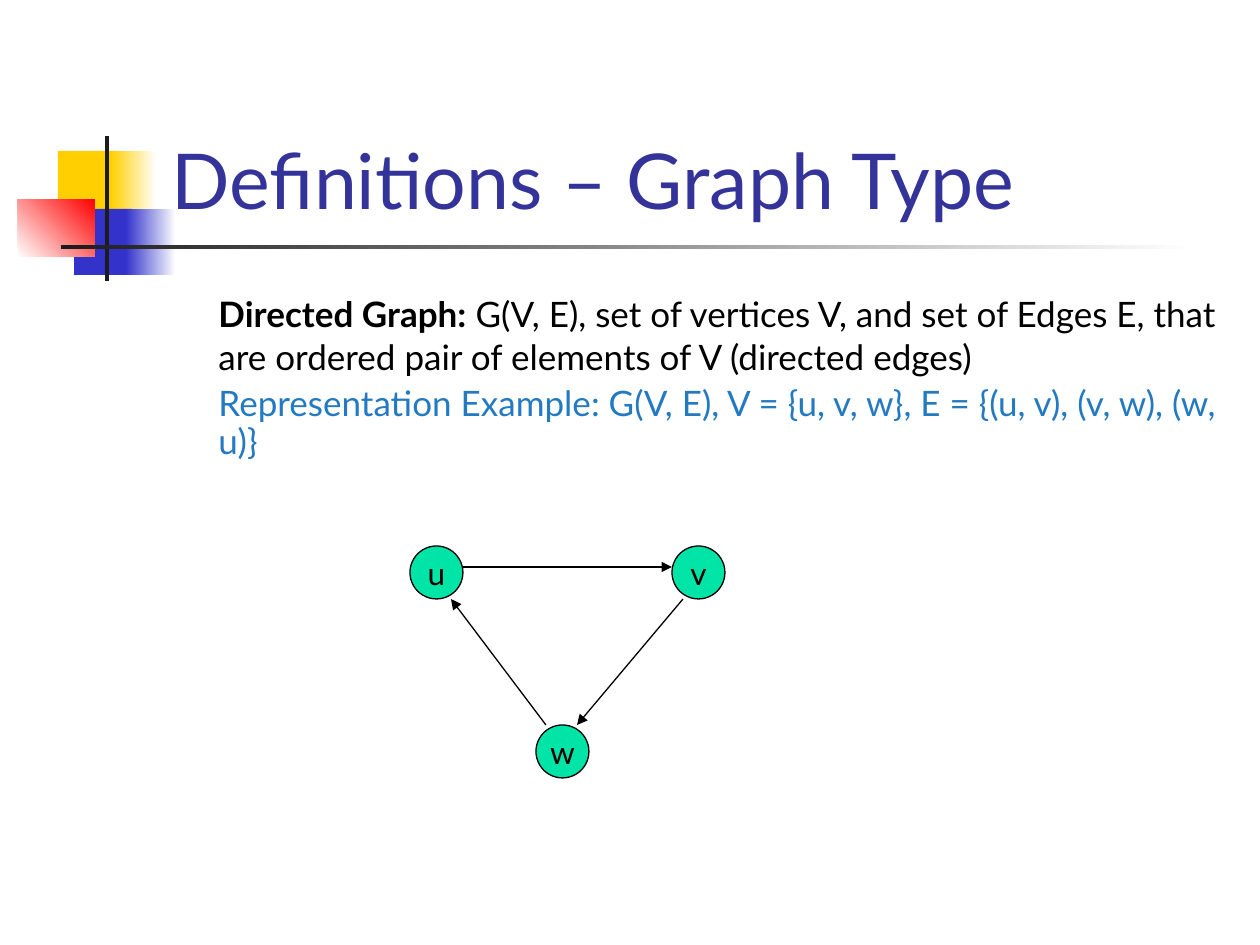
"""Build a slide that defines a directed graph, with a three-vertex example."""
from pptx import Presentation
from pptx.dml.color import RGBColor
from pptx.enum.shapes import MSO_CONNECTOR, MSO_SHAPE
from pptx.enum.text import MSO_ANCHOR as ANCHOR, MSO_AUTO_SIZE as AUTO, PP_ALIGN as ALIGN
from pptx.oxml.ns import qn
from pptx.util import Inches, Pt
from lxml.etree import SubElement

PX = Inches(1) / 126
FONT = "Lato"
BLACK = RGBColor(0x00, 0x00, 0x00)
WHITE = RGBColor(0xFF, 0xFF, 0xFF)
YELLOW = RGBColor(0xFF, 0xCF, 0x01)
BLUE = RGBColor(0x33, 0x33, 0xCC)
RED = RGBColor(0xFF, 0x00, 0x00)
DARK = RGBColor(0x1C, 0x1C, 0x1C)
NAVY = RGBColor(0x33, 0x33, 0x99)
SKY = RGBColor(0x23, 0x7A, 0xC1)
GREEN = RGBColor(0x00, 0xE4, 0xA8)

NODE_SIZE = 53
DECOR = [
    ((58, 151, 60, 66), [YELLOW], 0),
    ((111, 151, 45, 66), [YELLOW, WHITE], 0),
    ((74, 209, 58, 66), [BLUE], 0),
    ((126, 209, 50, 66), [BLUE, WHITE], 0),
    ((18, 199, 77, 58), [WHITE, RED], 45),
    ((105, 136, 4, 145), [DARK], 0),
    ((61, 245, 1134, 4), [DARK, WHITE], 0),
]
NODES = [("u", 410, 546), ("w", 536, 725), ("v", 672, 546)]
EDGES = [(462, 567, 672, 567), (683, 599, 577, 725), (546, 725, 451, 599)]
BODY = [
    [("\t", 32, BLACK, False),
     ("Directed Graph:", 20, BLACK, True),
     (" G(V, E), set of vertices V, and set of Edges E, that are ordered pair"
      " of elements of V (directed edges)", 20, BLACK, False)],
    [("\t", 20, BLACK, False),
     ("Representation Example: G(V, E), V = {u, v, w}, E = {(u, v), (v, w), (w, u)}",
      20, SKY, False)],
]


def emu(*lengths):
    return [round(n * PX) for n in lengths]


def add_run(p, text, size, color, bold=False):
    r = p.add_run()
    r.text = text
    r.font.name = FONT
    r.font.size = Pt(size)
    r.font.bold = bold
    r.font.color.rgb = color


def add_block(slide, box, colors, angle):
    sp = slide.shapes.add_shape(MSO_SHAPE.RECTANGLE, *emu(*box))
    sp.shadow.inherit = False
    sp.line.fill.background()
    if len(colors) == 1:
        sp.fill.solid()
        sp.fill.fore_color.rgb = colors[0]
        return
    sp.fill.gradient()
    sp.fill.gradient_angle = angle
    for stop, color in zip(sp.fill.gradient_stops, colors):
        stop.color.rgb = color


def place(slide, sp, box, anchor):
    sp.left, sp.top, sp.width, sp.height = emu(*box)
    slide.shapes.element.append(sp.element)
    tf = sp.text_frame
    tf.auto_size = AUTO.NONE
    tf.word_wrap = True
    tf.vertical_anchor = anchor
    return tf


def fill_title(slide, text):
    tf = place(slide, slide.shapes.title, (159, 29, 1074, 202), ANCHOR.BOTTOM)
    p = tf.paragraphs[0]
    p.alignment = ALIGN.LEFT
    add_run(p, text, 44, NAVY)


def fill_body(slide, paragraphs):
    tf = place(slide, slide.placeholders[1], (158, 273, 1071, 242), ANCHOR.TOP)
    for i, runs in enumerate(paragraphs):
        p = tf.add_paragraph() if i else tf.paragraphs[0]
        p.line_spacing = 0.9
        p.space_before = Pt(5)
        pPr = p._p.get_or_add_pPr()
        indent = Inches(0.38)
        pPr.set("marL", str(indent))
        pPr.set("indent", str(-indent))
        SubElement(pPr, qn("a:buNone"))
        for run in runs:
            add_run(p, *run)


def add_node(slide, label, x, y):
    sp = slide.shapes.add_shape(MSO_SHAPE.OVAL, *emu(x, y, NODE_SIZE, NODE_SIZE))
    sp.shadow.inherit = False
    sp.fill.solid()
    sp.fill.fore_color.rgb = GREEN
    sp.line.color.rgb = BLACK
    sp.line.width = Pt(0.75)
    tf = sp.text_frame
    tf.word_wrap = False
    tf.vertical_anchor = ANCHOR.MIDDLE
    p = tf.paragraphs[0]
    p.alignment = ALIGN.CENTER
    add_run(p, label, 18, BLACK)


def add_edge(slide, ends):
    line = slide.shapes.add_connector(MSO_CONNECTOR.STRAIGHT, *emu(*ends))
    line.line.color.rgb = BLACK
    line.line.width = Pt(0.75)
    SubElement(line.line._get_or_add_ln(), qn("a:tailEnd"), type="triangle")
    SubElement(line.element.spPr, qn("a:effectLst"))


def main():
    prs = Presentation()
    prs.slide_width, prs.slide_height = Inches(10), Inches(7.5)
    slide = prs.slides.add_slide(prs.slide_layouts[1])
    for box, colors, angle in DECOR:
        add_block(slide, box, colors, angle)
    fill_title(slide, "Definitions – Graph Type")
    fill_body(slide, BODY)
    for node in NODES:
        add_node(slide, *node)
    for ends in EDGES:
        add_edge(slide, ends)
    prs.save("out.pptx")


if __name__ == "__main__":
    main()
